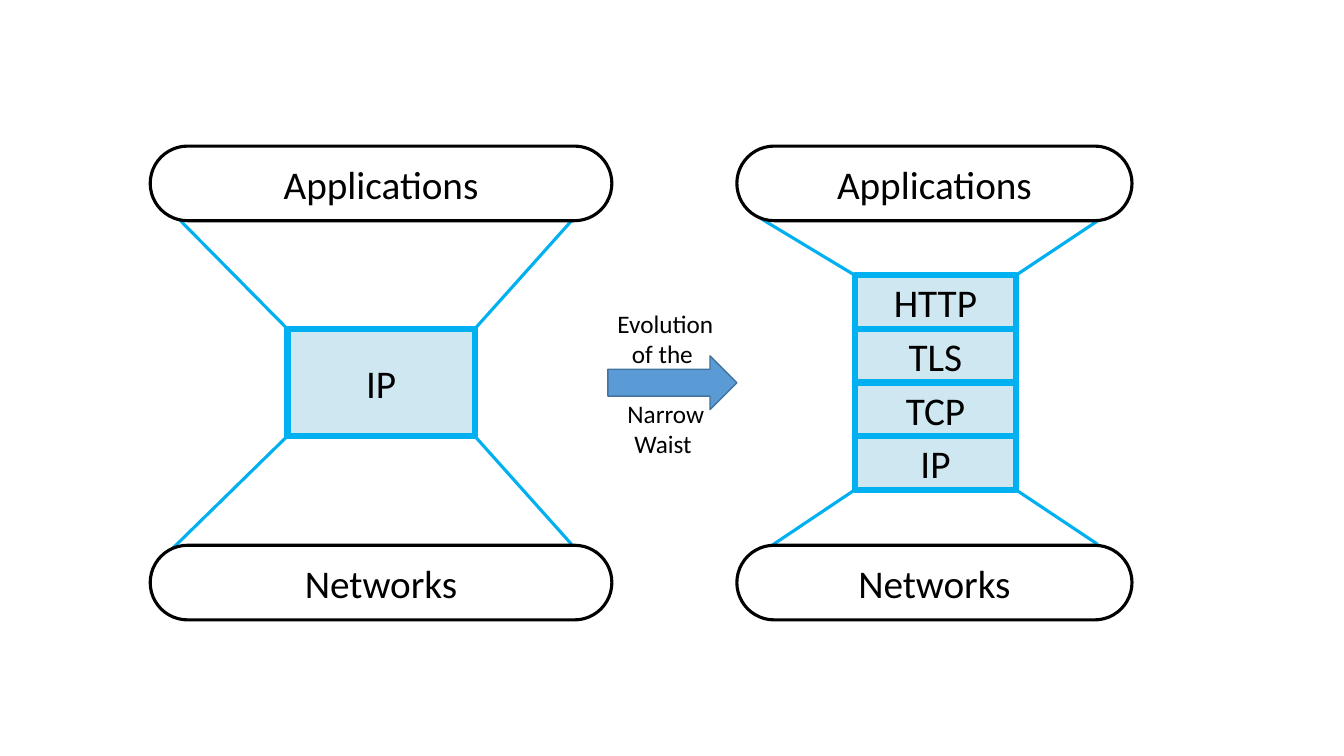
from pptx import Presentation
from pptx.dml.color import RGBColor
from pptx.enum.shapes import MSO_CONNECTOR, MSO_SHAPE
from pptx.enum.text import MSO_ANCHOR, MSO_AUTO_SIZE, PP_ALIGN
from pptx.oxml.ns import qn
from pptx.util import Inches, Pt

WIDTH, HEIGHT = Inches(13.33), Inches(7.5)
BLACK, WHITE = "000000", "FFFFFF"
WAIST_FILL, WAIST_LINE = "CFE7F1", "00B0F0"
ARROW_FILL, ARROW_LINE = "5B9BD5", "43739E"

# All positions below are percentages of the slide's width and height.
PROTOCOL_TOP, PROTOCOL_ROW = 36.4, 7.1
PILL_HEIGHT = 9.87
APPLICATIONS_TOP, NETWORKS_TOP = 19.33, 72.13
UPPER_ENDS, LOWER_ENDS = (28.93, 29.2), (74.8, 72)


def across(share):
    """Turn a percentage of the slide width into a length."""
    return round(WIDTH * share / 100)


def down(share):
    """Turn a percentage of the slide height into a length."""
    return round(HEIGHT * share / 100)


def box(left, top, width, height):
    """Turn four percentages into a position and size."""
    return across(left), down(top), across(width), down(height)


def color(value):
    """Turn a hex string into a colour."""
    return RGBColor.from_string(value)


def write(text_frame, lines, size):
    """Write centred lines, one paragraph each."""
    for index, line in enumerate(lines):
        paragraph = text_frame.paragraphs[0] if index == 0 else text_frame.add_paragraph()
        paragraph.alignment = PP_ALIGN.CENTER
        run = paragraph.add_run()
        run.text = line
        run.font.name = "Calibri"
        run.font.size = Pt(size)
        run.font.color.rgb = color(BLACK)


def add_block(shapes, kind, position, fill, line, weight, label=None):
    """Add a filled, outlined shape with an optional label."""
    shape = shapes.add_shape(kind, *box(*position))
    shape.shadow.inherit = False
    shape.fill.solid()
    shape.fill.fore_color.rgb = color(fill)
    shape.line.color.rgb = color(line)
    shape.line.width = Pt(weight)
    if label:
        shape.text_frame.vertical_anchor = MSO_ANCHOR.MIDDLE
        write(shape.text_frame, [label], 28)
    return shape


def add_edge(shapes, start, end):
    """Add a straight edge of the hourglass."""
    edge = shapes.add_connector(
        MSO_CONNECTOR.STRAIGHT,
        across(start[0]), down(start[1]), across(end[0]), down(end[1]))
    edge.line.color.rgb = color(WAIST_LINE)
    edge.line.width = Pt(2.25)
    properties = edge._element.spPr
    properties.append(properties.makeelement(qn("a:effectLst"), {}))


def add_caption(shapes, position, lines):
    """Add a small unwrapped caption."""
    text_frame = shapes.add_textbox(*box(*position)).text_frame
    text_frame.word_wrap = False
    text_frame.auto_size = MSO_AUTO_SIZE.SHAPE_TO_FIT_TEXT
    write(text_frame, lines, 18)


def add_hourglass(slide, pill, waist, protocols, first_row, rows_each,
                  upper_x, lower_x):
    """Add two pills joined through a waist of stacked protocols.

    pill and waist are (left, width); upper_x and lower_x are the outer
    ends of the edges, left then right.
    """
    shapes = slide.shapes.add_group_shape().shapes
    left, width = waist
    top = PROTOCOL_TOP + first_row * PROTOCOL_ROW
    height = rows_each * PROTOCOL_ROW
    for index, protocol in reversed(list(enumerate(protocols))):
        add_block(shapes, MSO_SHAPE.RECTANGLE,
                  (left, top + index * height, width, height),
                  WAIST_FILL, WAIST_LINE, 4.5, protocol)

    bottom = top + len(protocols) * height
    for waist_y, outer_x, outer_y in ((top, upper_x, UPPER_ENDS),
                                      (bottom, lower_x, LOWER_ENDS)):
        for corner_x, end in zip((left, left + width), zip(outer_x, outer_y)):
            add_edge(shapes, (corner_x, waist_y), end)

    for label, pill_top in (("Networks", NETWORKS_TOP),
                            ("Applications", APPLICATIONS_TOP)):
        shape = add_block(shapes, MSO_SHAPE.ROUNDED_RECTANGLE,
                          (pill[0], pill_top, pill[1], PILL_HEIGHT),
                          WHITE, BLACK, 2.25, label)
        shape.adjustments[0] = 0.5


def add_evolution(slide):
    """Add the arrow between the hourglasses with its two captions."""
    shapes = slide.shapes.add_group_shape().shapes
    add_block(shapes, MSO_SHAPE.RIGHT_ARROW, (45.23, 47.07, 9.6, PROTOCOL_ROW),
              ARROW_FILL, ARROW_LINE, 1)
    add_caption(shapes, (45.15, 40.13, 8.7, 9.47), ["Evolution", "of the "])
    add_caption(shapes, (45.9, 52, 7.28, 9.47), ["Narrow", "Waist "])


def main():
    """Build the slide and save it."""
    presentation = Presentation()
    presentation.slide_width, presentation.slide_height = WIDTH, HEIGHT
    slide = presentation.slides.add_slide(presentation.slide_layouts[6])
    add_hourglass(slide, (54.83, 29.4), (63.6, 12),
                  ["HTTP", "TLS", "TCP", "IP"], 0, 1,
                  (56.63, 81.68), (55.2, 81.68))
    add_evolution(slide)
    add_hourglass(slide, (11.18, 34.35), (21.38, 13.95), ["IP"], 1, 2,
                  (13.28, 42.53), (11.55, 42.53))
    presentation.save("out.pptx")


main()
